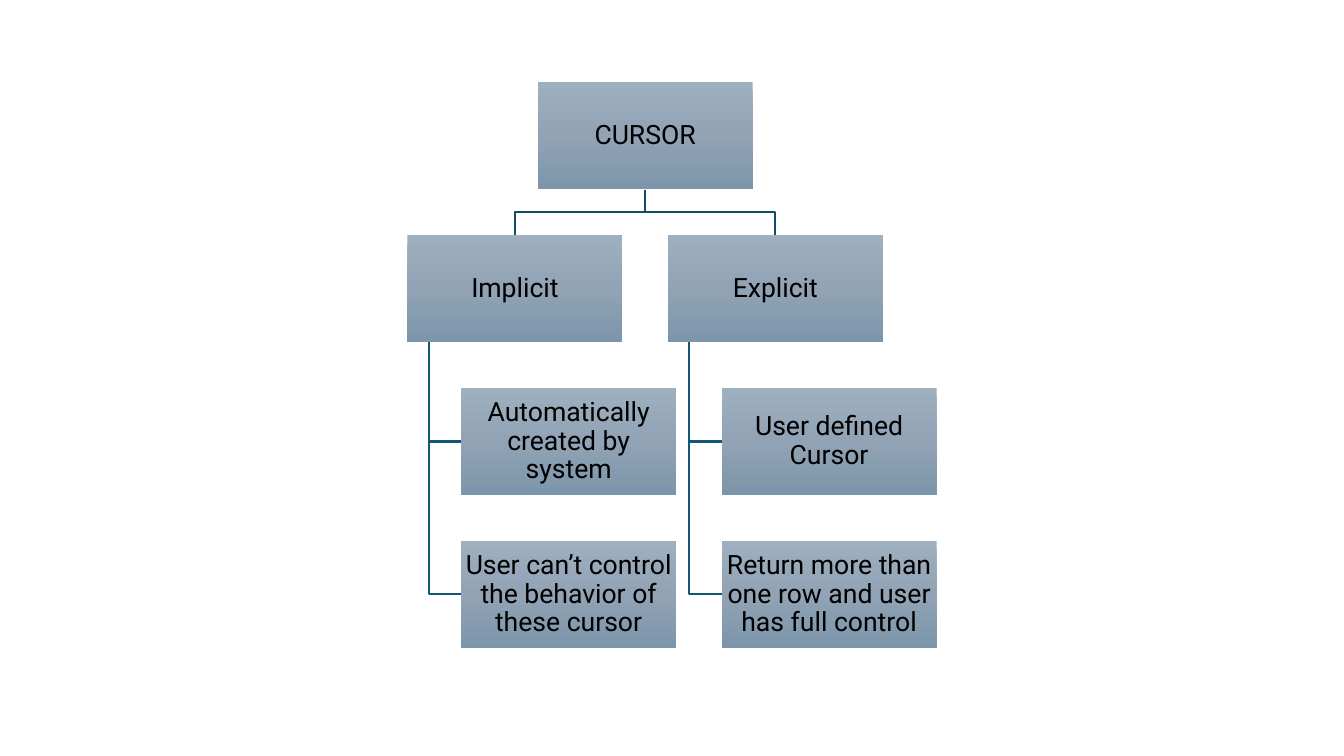
"""Build the slide that shows the two kinds of cursor as a tree of boxes."""
from copy import deepcopy
from dataclasses import dataclass

from pptx import Presentation
from pptx import util as u
from pptx.dml.color import RGBColor
from pptx.enum import shapes, text
from pptx.oxml.ns import qn
from pptx.shapes.autoshape import Shape
from pptx.slide import Slide

COLORS = {
    "top": "9EAFBF",
    "middle": "91A3B4",
    "bottom": "7C95AB",
    "text": "000000",
    "branch": "114D68",
    "twig": "135776",
}
GRADIENT = [("top", 0), ("middle", 0.5), ("bottom", 1)]

WIDTH, HEIGHT = 153.6, 76.8
CENTER, TOP = 460.8, 58.6
ROW_STEP = 109.2
GAP = ROW_STEP - HEIGHT
COLUMN_STEP = 186
TRUNK, INDENT = WIDTH / 10, WIDTH / 4

FRAME_FORMAT = {
    "word_wrap": True,
    "vertical_anchor": text.MSO_ANCHOR.MIDDLE,
    "margin_left": u.Pt(1),
    "margin_right": u.Pt(1),
    "margin_top": u.Pt(1),
    "margin_bottom": u.Pt(1),
}
PARA_FORMAT = {"alignment": text.PP_ALIGN.CENTER, "line_spacing": 0.9}
FONT_FORMAT = {"name": "Roboto", "size": u.Pt(19)}


@dataclass(frozen=True)
class Node:
    """A labelled box, placed by its left edge and its row in the tree."""
    label: str
    left: float
    row: int

    @property
    def top(self) -> float:
        """Return the upper edge."""
        return TOP + self.row * ROW_STEP

    @property
    def bottom(self) -> float:
        """Return the lower edge."""
        return self.top + HEIGHT


@dataclass(frozen=True)
class Kind:
    """A kind of cursor with its traits."""
    label: str
    traits: tuple[str, ...]


KINDS = [
    Kind("Implicit", ("Automatically created by system",
                      "User can’t control the behavior of these cursor")),
    Kind("Explicit", ("User defined Cursor",
                      "Return more than one row and user has full control")),
]


def rgb(name: str) -> RGBColor:
    """Return a named colour."""
    return RGBColor.from_string(COLORS[name])


def apply(target: object, values: dict) -> None:
    """Set each format value on the target."""
    for name, value in values.items():
        setattr(target, name, value)


def fill_gradient(box: Shape) -> None:
    """Fill a box with the three-stop vertical gradient."""
    box.fill.gradient()
    box.fill.gradient_angle = 270
    stop_list = box.element.spPr.find(f".//{qn('a:gsLst')}")
    stop_list.insert(1, deepcopy(stop_list[0]))
    for stop, (name, position) in zip(box.fill.gradient_stops, GRADIENT):
        stop.color.rgb = rgb(name)
        stop.position = position


def draw_node(page: Slide, node: Node) -> None:
    """Draw a box with its label."""
    box = page.shapes.add_shape(
        shapes.MSO_SHAPE.RECTANGLE,
        u.Pt(node.left), u.Pt(node.top), u.Pt(WIDTH), u.Pt(HEIGHT))
    box.shadow.inherit = False
    box.line.fill.background()
    fill_gradient(box)
    apply(box.text_frame, FRAME_FORMAT)
    para = box.text_frame.paragraphs[0]
    apply(para, PARA_FORMAT)
    span = para.add_run()
    span.text = node.label
    apply(span.font, FONT_FORMAT)
    span.font.color.rgb = rgb("text")


def draw_path(page: Slide, points: list[tuple[float, float]], color: str) -> None:
    """Draw an open line through the points."""
    start, *rest = [(u.Pt(x), u.Pt(y)) for x, y in points]
    builder = page.shapes.build_freeform(*start)
    builder.add_line_segments(rest, close=False)
    path = builder.convert_to_shape()
    path.shadow.inherit = False
    path.fill.background()
    path.line.color.rgb = rgb(color)
    path.line.width = u.Pt(1.5)


def draw_branch(page: Slide, root: Node, head: Node) -> None:
    """Link the root to the box of a kind."""
    root_x, head_x = root.left + WIDTH / 2, head.left + WIDTH / 2
    bend = root.bottom + GAP / 2
    draw_path(page, [(root_x, root.bottom), (root_x, bend),
                     (head_x, bend), (head_x, head.top)], "branch")


def draw_twig(page: Slide, head: Node, leaf: Node) -> None:
    """Link the box of a kind to one of its traits."""
    x, y = head.left + TRUNK, leaf.top + HEIGHT / 2
    draw_path(page, [(x, head.bottom), (x, y), (leaf.left, y)], "twig")


def main() -> None:
    """Build and save the deck."""
    deck = Presentation()
    deck.slide_width, deck.slide_height = u.Pt(960), u.Pt(540)
    page = deck.slides.add_slide(deck.slide_layouts[6])

    root = Node("CURSOR", CENTER - WIDTH / 2, 0)
    draw_node(page, root)
    for column, kind in enumerate(KINDS):
        left = root.left + (column - 0.5) * COLUMN_STEP
        head = Node(kind.label, left, 1)
        draw_branch(page, root, head)
        draw_node(page, head)
        for row, trait in enumerate(kind.traits, start=2):
            leaf = Node(trait, left + INDENT, row)
            draw_twig(page, head, leaf)
            draw_node(page, leaf)

    deck.save("out.pptx")


if __name__ == "__main__":
    main()
